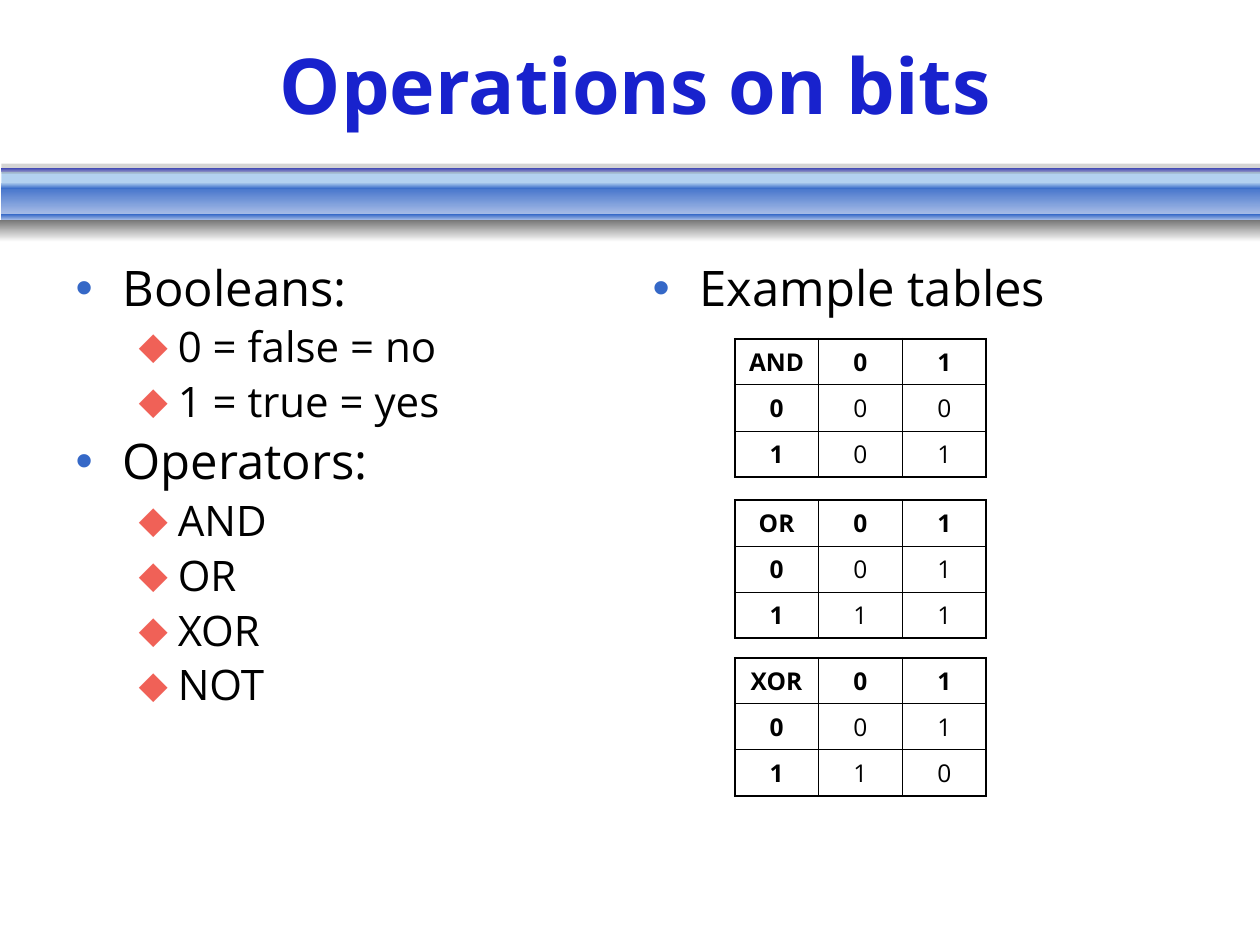
from lxml import etree
from pptx import Presentation
from pptx.dml.color import RGBColor
from pptx.enum.shapes import MSO_SHAPE
from pptx.enum.text import MSO_ANCHOR, MSO_AUTO_SIZE, PP_ALIGN
from pptx.oxml.ns import qn
from pptx.util import Cm, Pt

RECTANGLE = MSO_SHAPE.RECTANGLE
CENTER = PP_ALIGN.CENTER
MIDDLE = MSO_ANCHOR.MIDDLE
NO_AUTOFIT = MSO_AUTO_SIZE.NONE

FONT = "Open Sans"
BLACK = "000000"
TITLE = "Operations on bits"
TITLE_COLOR = "1822CD"

# (level, text)
LEFT_LIST = [
    (0, "Booleans:"),
    (1, "0 = false = no"),
    (1, "1 = true = yes"),
    (0, "Operators:"),
    (1, "AND"),
    (1, "OR"),
    (1, "XOR"),
    (1, "NOT"),
]
RIGHT_LIST = [(0, "Example tables")]

# One entry per level: size, space before, left margin, hanging indent, bullet
LEVELS = [
    dict(size=28, before=7, margin=0.95, hang=0.95, bullet="•", color="3568C7"),
    dict(size=24, before=6, margin=2.06, hang=0.79, bullet="⬥", color="F06157"),
]

# (operator, top in cm, results for each pair of bits)
TRUTH_TABLES = [
    ("AND", 6.83, [[0, 0], [0, 1]]),
    ("OR", 10.08, [[0, 1], [1, 1]]),
    ("XOR", 13.26, [[0, 1], [1, 0]]),
]
TABLE_LEFT, CELL_WIDTH, CELL_HEIGHT = 14.81, 1.69, 0.89
OUTER_LINE, INNER_LINE = 1.08, 0.45

# (left, top, height, top colour, bottom colour), in cm, back to front
BANDS = [
    (0.03, 3.45, 0.25, "B3D1F0", "B3D1F0"),
    (0.03, 3.7, 0.63, "3568C7", "A9BEE7"),
    (0.03, 3.38, 0.08, "1822CD", "878DE5"),
    (0.03, 4.32, 0.12, "3568C7", "A9BEE7"),
    (0.03, 3.68, 0.13, "B3D1F0", "3568C7"),
    (0, 4.44, 0.44, "777777", "FFFFFF"),
    (0.03, 3.3, 0.2, "777777", "777777"),
]
VEIL_ALPHA = 31  # percent, for the front band


def rgb(color):
    return RGBColor.from_string(color)


def place(shape, left, top, width, height):
    shape.left, shape.top = Cm(left), Cm(top)
    shape.width, shape.height = Cm(width), Cm(height)


def style(paragraph, size, color=BLACK, bold=False):
    for run in paragraph.runs:
        run.font.name = FONT
        run.font.size = Pt(size)
        run.font.bold = bold
        run.font.color.rgb = rgb(color)


def add_bands(page):
    """Draw the header stripe behind everything else."""
    for index, (left, top, height, upper, lower) in enumerate(BANDS):
        band = page.shapes.add_shape(
            RECTANGLE, Cm(left), Cm(top), Cm(25.4 - left), Cm(height))
        band.shadow.inherit = False
        band.line.fill.background()
        if upper == lower:
            band.fill.solid()
            band.fill.fore_color.rgb = rgb(upper)
        else:
            band.fill.gradient()
            band.fill.gradient_angle = 270
            for stop, color in zip(band.fill.gradient_stops, (upper, lower)):
                stop.color.rgb = rgb(color)
        page.shapes._spTree.insert(2 + index, band._element)
    veil = band._element.spPr.find(".//" + qn("a:srgbClr"))
    etree.SubElement(veil, qn("a:alpha"), val=str(VEIL_ALPHA * 1000))


def fill_list(box, items):
    frame = box.text_frame
    frame.text = "\n".join(text for _, text in items)
    frame.auto_size = NO_AUTOFIT
    for paragraph, (level, _) in zip(frame.paragraphs, items):
        look = LEVELS[level]
        paragraph.level = level
        paragraph.space_before = Pt(look["before"])
        paragraph.line_spacing = 0.88
        style(paragraph, look["size"])
        properties = paragraph._p.get_or_add_pPr()
        properties.set("marL", str(Cm(look["margin"])))
        properties.set("indent", str(-Cm(look["hang"])))
        bullet_color = etree.SubElement(properties, qn("a:buClr"))
        etree.SubElement(bullet_color, qn("a:srgbClr"), val=look["color"])
        etree.SubElement(properties, qn("a:buChar"), char=look["bullet"])


def set_borders(cell, row, column, last):
    outer_sides = {"L": column == 0, "R": column == last,
                   "T": row == 0, "B": row == last}
    properties = cell._tc.get_or_add_tcPr()
    for side, outer in outer_sides.items():
        width = Pt(OUTER_LINE if outer else INNER_LINE)
        line = etree.SubElement(properties, qn("a:ln" + side), w=str(width))
        fill = etree.SubElement(line, qn("a:solidFill"))
        etree.SubElement(fill, qn("a:srgbClr"), val=BLACK)


def add_truth_table(page, operator, top, results):
    rows = [[operator, 0, 1]] + [[bit, *values] for bit, values in enumerate(results)]
    count = len(rows)
    table = page.shapes.add_table(
        count, count, Cm(TABLE_LEFT), Cm(top),
        Cm(count * CELL_WIDTH), Cm(count * CELL_HEIGHT)).table
    table.first_row = table.horz_banding = False
    for row, values in enumerate(rows):
        for column, value in enumerate(values):
            cell = table.cell(row, column)
            cell.text = str(value)
            paragraph = cell.text_frame.paragraphs[0]
            paragraph.alignment = CENTER
            paragraph.space_before = Pt(3.5)
            style(paragraph, 14, bold=row == 0 or column == 0)
            set_borders(cell, row, column, count - 1)
            cell.fill.background()


def main():
    deck = Presentation()
    deck.slide_width, deck.slide_height = Cm(25.4), Cm(19.05)
    page = deck.slides.add_slide(deck.slide_layouts.get_by_name("Two Content"))
    title, left_box, right_box = page.placeholders

    add_bands(page)

    place(title, 0.43, 0.2, 24.77, 2.97)
    title.text_frame.text = TITLE
    title.text_frame.vertical_anchor = MIDDLE
    title.text_frame.auto_size = NO_AUTOFIT
    heading = title.text_frame.paragraphs[0]
    heading.alignment = CENTER
    style(heading, 44, TITLE_COLOR, bold=True)

    for box, left, items in ((left_box, 1.27, LEFT_LIST), (right_box, 12.9, RIGHT_LIST)):
        place(box, left, 5.21, 11.23, 12.57)
        fill_list(box, items)

    for operator, top, results in TRUTH_TABLES:
        add_truth_table(page, operator, top, results)

    deck.save("out.pptx")


if __name__ == "__main__":
    main()
